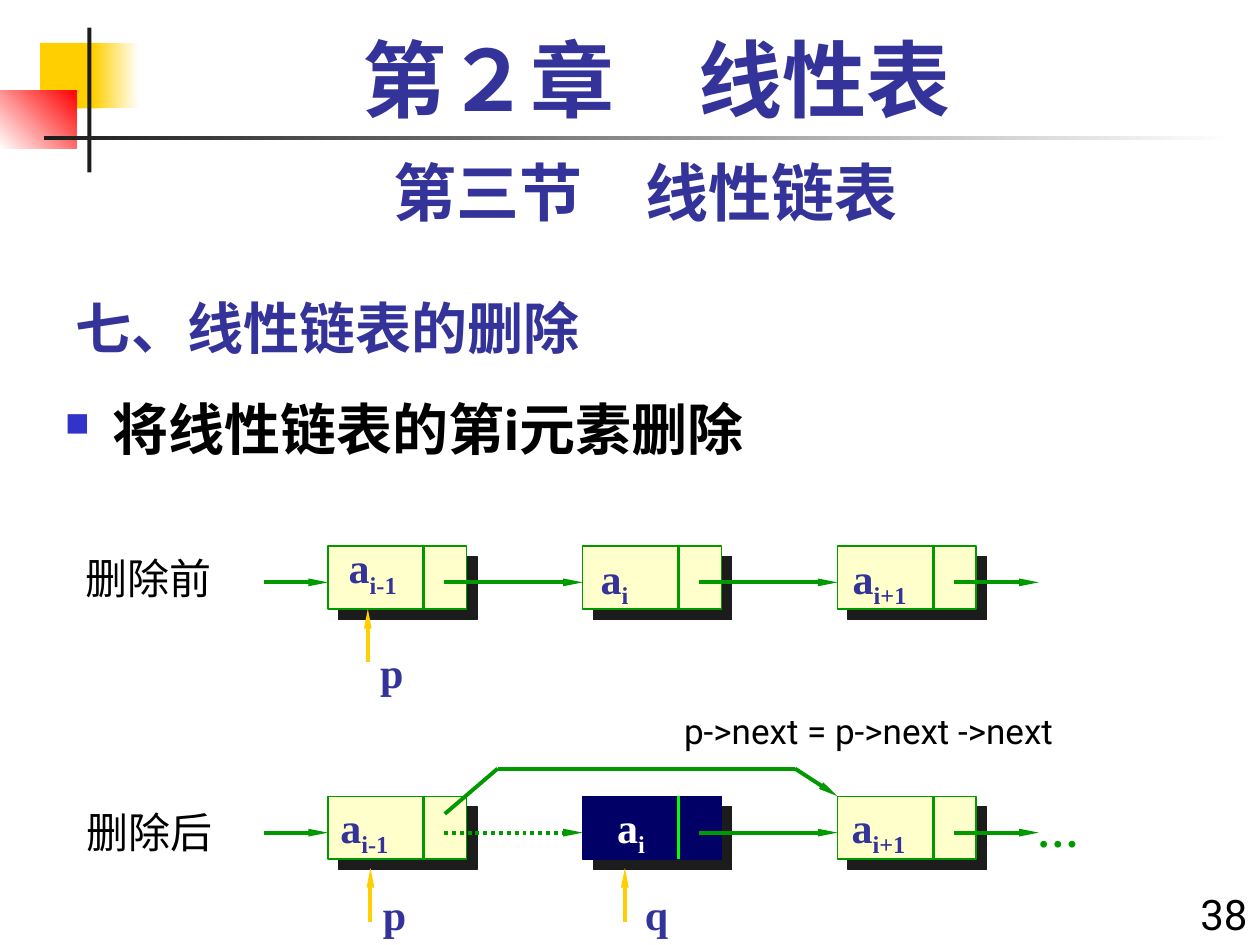
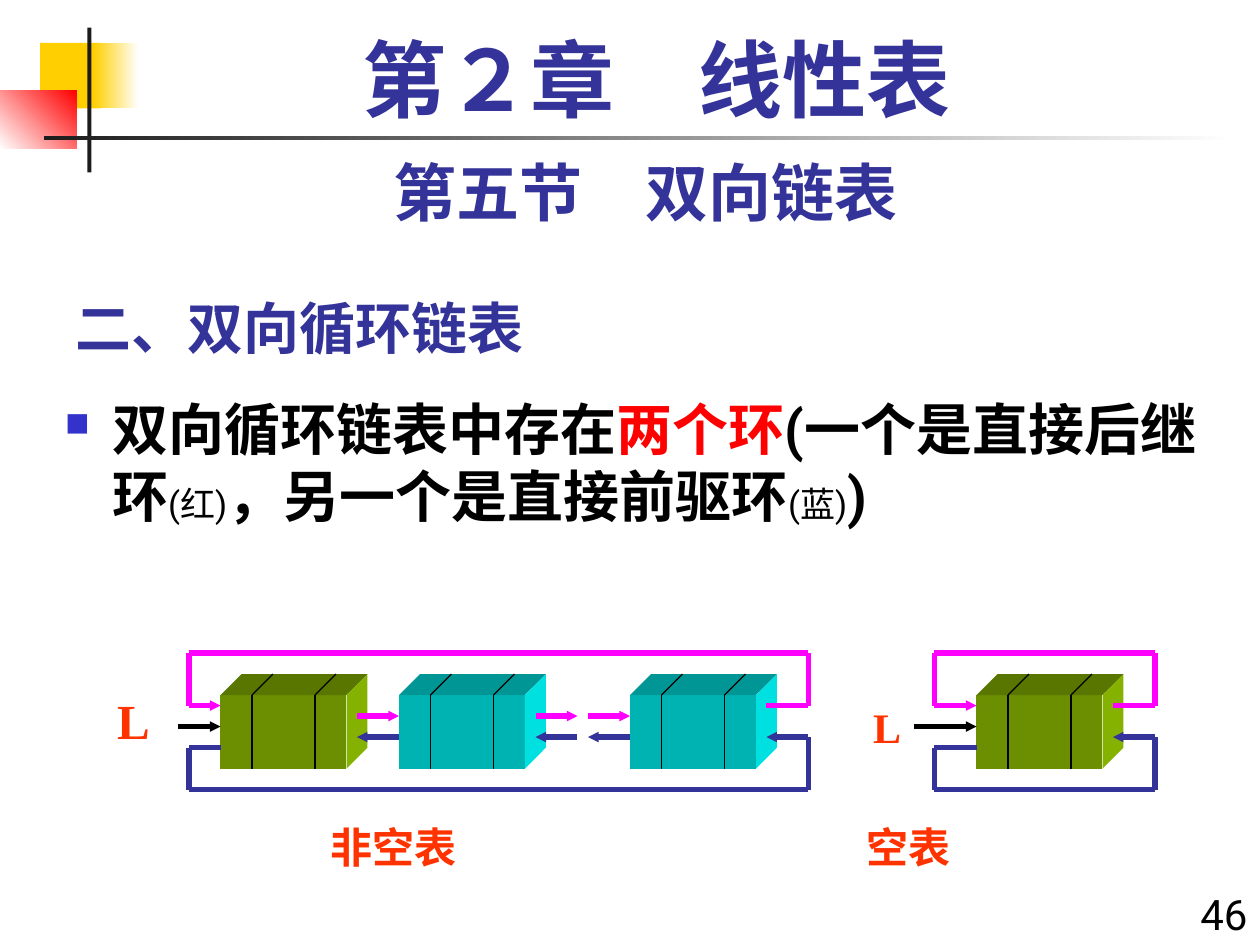
"""Builds two lecture slides on linked lists: node deletion and doubly linked rings."""
from dataclasses import dataclass
from itertools import pairwise

from lxml.etree import SubElement
from pptx import Presentation
from pptx.dml.color import RGBColor
from pptx.enum.dml import MSO_LINE
from pptx.enum.shapes import MSO_CONNECTOR, MSO_SHAPE
from pptx.enum.text import MSO_ANCHOR, MSO_AUTO_SIZE, PP_ALIGN
from pptx.oxml.ns import qn
from pptx.util import Pt


@dataclass(frozen=True)
class Theme:
    navy: str = "333399"
    bullet: str = "3333CC"
    black: str = "000000"
    white: str = "FFFFFF"
    ink: str = "1C1C1C"
    gold: str = "FFCF01"
    red: str = "FF0000"
    orange: str = "FF3300"
    green: str = "009900"
    lime: str = "00FF00"
    cream: str = "FFFFCC"
    midnight: str = "000066"
    magenta: str = "FF00FF"
    olive: tuple = ("6B8F00", "597700", "85B200")
    cyan: tuple = ("00B3B3", "009696", "00E0E0")
    sans: str = "Roboto"
    serif: str = "Times New Roman"
    cjk: str = "Noto Sans CJK SC"
    chapter: int = 48
    section: int = 36
    heading: int = 32
    head_label: int = 28
    label: int = 24
    small: int = 20


theme = Theme()
rgb = RGBColor.from_string


def write(frame, text, size=theme.label, color=theme.black, font=theme.sans, bold=False,
          align=PP_ALIGN.LEFT, wrap=True, sub=False):
    """Add one formatted run to the first paragraph of a text frame."""
    frame.word_wrap = wrap
    frame.auto_size = MSO_AUTO_SIZE.NONE if wrap else MSO_AUTO_SIZE.SHAPE_TO_FIT_TEXT
    paragraph = frame.paragraphs[0]
    paragraph.alignment = align
    run = paragraph.add_run()
    run.text = text
    run.font.size, run.font.bold, run.font.name = Pt(size), bold, font
    run.font.color.rgb = rgb(color)
    properties = run.font._element
    SubElement(properties, qn("a:ea")).set("typeface", theme.cjk)
    if sub:
        properties.set("baseline", "-25000")


def route(slide, points, color, width=2.25, head=None, dash=None):
    """Draw straight lines through the points, with an arrowhead on the last one."""
    for start, end in pairwise(points):
        link = slide.shapes.add_connector(MSO_CONNECTOR.STRAIGHT, *map(Pt, (*start, *end)))
        link.line.color.rgb = rgb(color)
        link.line.width = Pt(width)
        if dash:
            link.line.dash_style = dash
        if head and end == points[-1]:
            tip = SubElement(link.line._get_or_add_ln(), qn("a:tailEnd"))
            tip.set("type", "triangle")
            tip.set("w", "sm")
            tip.set("len", head)
        SubElement(link._element.spPr, qn("a:effectLst"))


presentation = Presentation()
presentation.slide_width, presentation.slide_height = Pt(720), Pt(540)

ornaments = [
    ((23, 24.5, 34.5, 37.5), theme.gold, theme.gold, 0),
    ((53.3, 24.5, 26, 37.5), theme.gold, theme.white, 0),
    ((0, 51.8, 44, 33.2), theme.white, theme.red, 45),
    ((50, 15.8, 2.2, 82.8), theme.ink, theme.ink, 0),
    ((25.2, 77.6, 680.4, 2.4), theme.ink, theme.white, 0),
]
contents = [
    ("第三节　线性链表", "七、线性链表的删除", "38",
     [("将线性链表的第i元素删除", {})]),
    ("第五节　双向链表", "二、双向循环链表", "46",
     [("双向循环链表中存在", {}),
      ("两个环", {"color": theme.red}),
      ("(一个是直接后继环", {}),
      ("(红)", {"size": theme.small, "bold": False}),
      ("，另一个是直接前驱环", {}),
      ("(蓝)", {"size": theme.small, "bold": False}),
      (")", {})]),
]

slides = []
for section, heading, number, statement in contents:
    slide = presentation.slides.add_slide(presentation.slide_layouts[5])
    slides.append(slide)
    for place, start_color, end_color, angle in ornaments:
        ornament = slide.shapes.add_shape(MSO_SHAPE.RECTANGLE, *map(Pt, place))
        ornament.shadow.inherit = False
        ornament.line.fill.background()
        if start_color == end_color:
            ornament.fill.solid()
            ornament.fill.fore_color.rgb = rgb(start_color)
        else:
            ornament.fill.gradient()
            ornament.fill.gradient_angle = angle
            for stop, color in zip(ornament.fill.gradient_stops, (start_color, end_color)):
                stop.color.rgb = rgb(color)

    title = slide.shapes.title
    title.left, title.top, title.width, title.height = map(Pt, (36, 156, 450, 54))
    title.text_frame.vertical_anchor = MSO_ANCHOR.BOTTOM
    write(title.text_frame, heading, theme.heading, theme.navy, theme.cjk, True)

    for place, text, style in [
        ((672, 504, 48, 36), number, {"align": PP_ALIGN.RIGHT}),
        ((36, 84, 666, 50.4), section,
         {"size": theme.section, "color": theme.navy, "bold": True, "align": PP_ALIGN.CENTER}),
        ((48, 12, 654, 60), "第２章　线性表",
         {"size": theme.chapter, "color": theme.navy, "font": theme.serif, "bold": True,
          "align": PP_ALIGN.CENTER}),
    ]:
        write(slide.shapes.add_textbox(*map(Pt, place)).text_frame, text, **style)

    body = slide.shapes.add_textbox(*map(Pt, (30, 222, 690, 84))).text_frame
    for text, style in statement:
        write(body, text, **{"size": theme.heading, "bold": True, **style})
    bullet = body.paragraphs[0]._p.get_or_add_pPr()
    bullet.set("marL", str(Pt(27)))
    bullet.set("indent", str(-Pt(27)))
    SubElement(SubElement(bullet, qn("a:buClr")), qn("a:srgbClr")).set("val", theme.bullet)
    SubElement(bullet, qn("a:buSzPct")).set("val", "60000")
    SubElement(bullet, qn("a:buChar")).set("char", "■")

deletion, rings = slides

node_left, node_pitch, node_width, node_height = 187.4, 145.6, 79.2, 36
before = (312, "删除前", (42, 312), None,
          [("i-1", 192.2, 306), ("i", 336.2, 312), ("i+1", 480.2, 312)],
          [("p", 210.2, 378, 348, 210.2, 365.8)])
after = (455, "删除后", (42.5, 457.2), 1,
         [("i-1", 187.4, 454.3), ("i", 345.6, 454.3), ("i+1", 479.5, 454.3)],
         [("p", 211.7, 527, 496, 211.7, 504), ("q", 357.1, 527, 496, 361.4, 504)])
for top, caption, caption_place, removed, subscripts, pointers in (before, after):
    link_y = top + 20.8
    route(deletion, [(150.8, link_y), (node_left, link_y)], theme.green, head="lg")
    for index, (subscript, label_left, label_top) in enumerate(subscripts):
        left = node_left + index * node_pitch
        is_removed = index == removed
        node = deletion.shapes.add_shape(
            MSO_SHAPE.RECTANGLE, *map(Pt, (left, top, node_width, node_height)))
        node.shadow.inherit = False
        node.fill.solid()
        node.fill.fore_color.rgb = rgb(theme.midnight if is_removed else theme.cream)
        node.line.color.rgb = rgb(theme.midnight if is_removed else theme.green)
        node.line.width = Pt(0.75)
        shadow = SubElement(node._element.spPr.find(qn("a:effectLst")), qn("a:outerShdw"))
        shadow.set("dist", str(Pt(8.5)))
        shadow.set("dir", "2700000")
        SubElement(shadow, qn("a:srgbClr")).set("val", theme.ink)
        divider = left + 54.7
        route(deletion, [(divider, top), (divider, top + node_height)],
              theme.lime if is_removed else theme.green, 1.5)
        reach = 115 if index == len(subscripts) - 1 else node_pitch
        bypassed = removed is not None and index == removed - 1
        route(deletion, [(left + 66.4, link_y), (left + reach, link_y)], theme.green,
              head="lg", dash=MSO_LINE.ROUND_DOT if bypassed else None)
        element = deletion.shapes.add_textbox(
            *map(Pt, (label_left, label_top, 24 + 8 * len(subscript), 36))).text_frame
        for text, sub in (("a", False), (subscript, True)):
            write(element, text, color=theme.white if is_removed else theme.navy,
                  font=theme.serif, bold=True, wrap=False, sub=sub)
    for name, x, tail_y, tip_y, name_left, name_top in pointers:
        route(deletion, [(x, tail_y), (x, tip_y)], theme.gold, head="lg")
        write(deletion.shapes.add_textbox(*map(Pt, (name_left, name_top, 28, 36))).text_frame,
              name, color=theme.navy, font=theme.serif, bold=True, wrap=False)
    write(deletion.shapes.add_textbox(*map(Pt, (*caption_place, 90, 36))).text_frame, caption)

route(deletion, [(254.2, 465.1), (284.4, 439.2), (454.3, 439.2), (478.6, 455)],
      theme.green, head="lg")
write(deletion.shapes.add_textbox(*map(Pt, (585.4, 456.5, 38, 36))).text_frame, "…",
      color=theme.green, font=theme.serif, bold=True, wrap=False)
write(deletion.shapes.add_textbox(*map(Pt, (383.8, 401.8, 306, 31))).text_frame,
      "p->next = p->next ->next", theme.small)

block_top, block_width, block_height, depth = 397.2, 72, 42, 12
block_bottom = block_top + block_height
for left, faces in [(126, theme.olive), (228, theme.cyan), (360, theme.cyan), (558, theme.olive)]:
    right = left + block_width
    outlines = [
        [(left, block_top), (right, block_top), (right, block_bottom), (left, block_bottom)],
        [(left, block_top), (left + depth, block_top - depth),
         (right + depth, block_top - depth), (right, block_top)],
        [(right, block_top), (right + depth, block_top - depth),
         (right + depth, block_bottom - depth), (right, block_bottom)],
    ]
    for outline, color in zip(outlines, faces):
        corners = [tuple(map(Pt, corner)) for corner in outline]
        pen = rings.shapes.build_freeform(*corners[0])
        pen.add_line_segments(corners[1:], close=True)
        face = pen.convert_to_shape()
        face.shadow.inherit = False
        face.fill.solid()
        face.fill.fore_color.rgb = rgb(color)
        face.line.fill.background()
    for offset in (18, 54):
        x = left + offset
        route(rings, [(x + depth, block_top - depth), (x, block_top), (x, block_bottom)],
              theme.black, 0.75)

for first, last, ring_left, entry in [(126, 360, 108, 102), (558, 558, 534, 522)]:
    ring_right, exit_x = last + 102, last + 78
    upper, lower = block_top - 24, block_bottom + 12
    next_y, prior_y, return_y = block_top + 6, block_top + 24, block_top + 30
    route(rings, [(entry, block_top + 18), (first, block_top + 18)], theme.black, 3, "sm")
    route(rings, [(exit_x, next_y), (ring_right, next_y), (ring_right, upper),
                  (ring_left, upper), (ring_left, next_y), (first, next_y)],
          theme.magenta, 3, "sm")
    route(rings, [(first, return_y), (ring_left, return_y), (ring_left, lower),
                  (ring_right, lower), (ring_right, prior_y), (exit_x, prior_y)],
          theme.navy, 3, "sm")

for x in (204, 306, 336):
    route(rings, [(x, block_top + 12), (x + 24, block_top + 12)], theme.magenta, 3, "sm")
    route(rings, [(x + 24, block_top + 24), (x, block_top + 24)], theme.navy, 3, "sm")

for place, text, size, font in [
    ((59.8, 391, 33, 41), "L", theme.head_label, theme.serif),
    ((491.8, 397.4, 30, 36), "L", theme.label, theme.serif),
    ((181.6, 466, 87, 38), "非空表", theme.label, theme.cjk),
    ((488.2, 466, 63, 38), "空表", theme.label, theme.cjk),
]:
    write(rings.shapes.add_textbox(*map(Pt, place)).text_frame, text, size, theme.orange, font,
          bold=True, wrap=False)

presentation.save("out.pptx")
